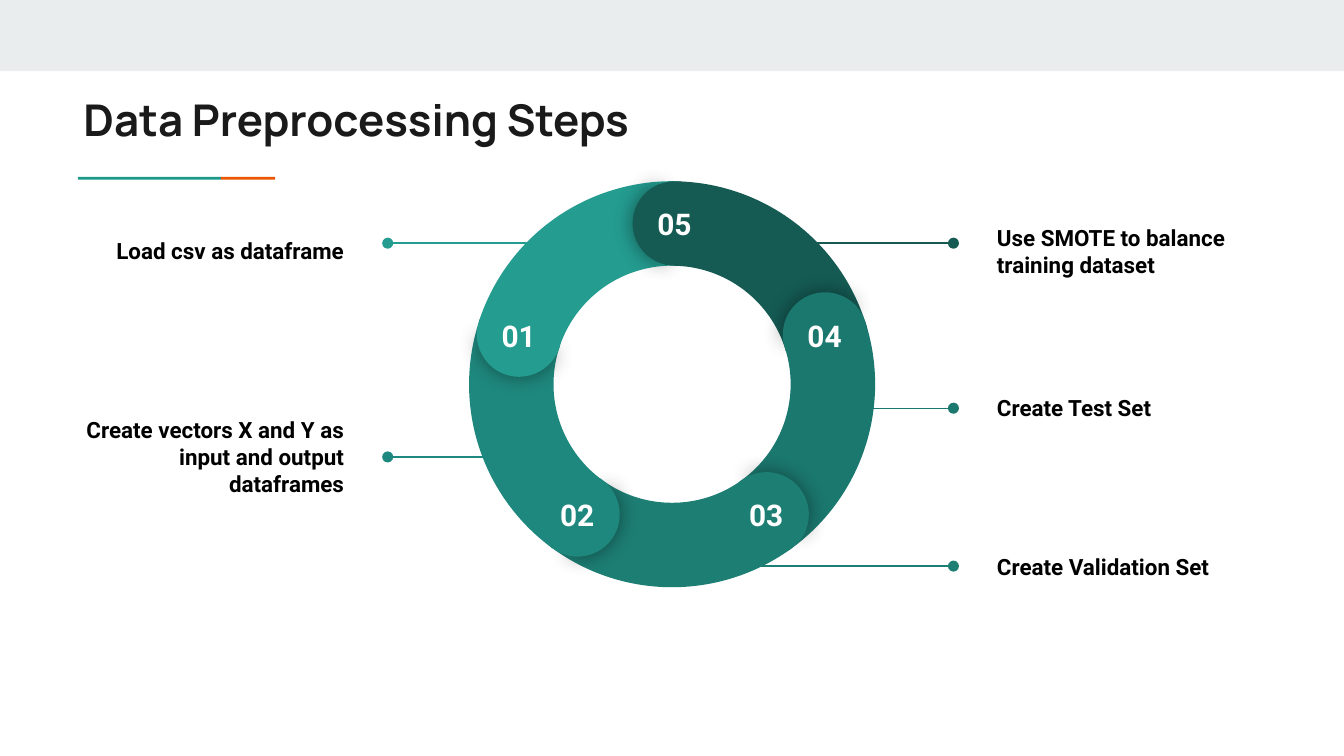
import math
import pptx
import pptx.util
import pptx.dml.color
import pptx.enum.shapes
import pptx.enum.text
import pptx.oxml
import pptx.oxml.ns
from lxml import etree

Pt = pptx.util.Pt
SHAPE = pptx.enum.shapes.MSO_SHAPE
ALIGN = pptx.enum.text.PP_ALIGN
ANCHOR = pptx.enum.text.MSO_ANCHOR
qn = pptx.oxml.ns.qn

COLORS = {
    "band": "E9EDEE", "teal": "1A9988", "orange": "EB5600",
    "title": "1A1A1A", "label": "000000", "number": "FFFFFF", "shadow": "000000",
    "01": "249C90", "02": "1F887E", "03": "1D7E74", "04": "1B786E", "05": "155B54",
}

# number, wording, cap angle on the ring, line start x, line y, label centre y
STEPS = [
    ("01", "Load csv as dataframe", 198, 304.5, 130.3, 134.3),
    ("02", "Create vectors X and Y as input and output dataframes", 126, 281.5, 244.8, 244.4),
    ("03", "Create Validation Set", 54, 366.5, 303.3, 303.5),
    ("04", "Create Test Set", 342, 442, 218.7, 218.5),
    ("05", "Use SMOTE to balance training dataset", 271, 410.5, 130.3, 134.3),
]


def rgb(name):
    return pptx.dml.color.RGBColor.from_string(COLORS[name])


def add_filled(slide, kind, box, color, rotation=0, angles=()):
    shape = slide.shapes.add_shape(kind, *map(Pt, box))
    shape.fill.solid()
    shape.fill.fore_color.rgb = rgb(color)
    shape.line.fill.background()
    shape.shadow.inherit = False
    shape.rotation = rotation % 360
    for index, degrees in enumerate(angles):
        shape.adjustments[index] = degrees * 0.6  # 60000ths of a degree / 100000
    return shape


def add_glow_shadow(shape):
    effects = shape._element.spPr.find(qn("a:effectLst"))
    shadow = etree.SubElement(effects, qn("a:outerShdw"), blurRad=str(Pt(11.2)),
                              dist="0", dir="0", algn="bl", rotWithShape="0")
    color = etree.SubElement(shadow, qn("a:srgbClr"), val=COLORS["shadow"])
    etree.SubElement(color, qn("a:alpha"), val="43000")


def write(frame, words, size, font, color, align, anchor):
    frame.word_wrap = True
    frame.auto_size = pptx.enum.text.MSO_AUTO_SIZE.NONE
    frame.vertical_anchor = anchor
    frame.margin_left = frame.margin_right = Pt(7.2)
    frame.margin_top = frame.margin_bottom = Pt(7.2)
    frame.text = words
    paragraph = frame.paragraphs[0]
    paragraph.alignment = align
    style = paragraph.runs[0].font
    style.size, style.name, style.bold = Pt(size), font, True
    style.color.rgb = rgb(color)
    return paragraph


def add_header(slide, left, top, width, height):
    # Band across the top
    add_filled(slide, SHAPE.RECTANGLE, (left, top, width, height), "band")

    # Title
    title = slide.shapes.title
    title.left, title.top = Pt(left + 37.5), Pt(top + 42.5)
    title.width, title.height = Pt(605.5), Pt(42.5)
    write(title.text_frame, "Data Preprocessing Steps", 23.4, "Manrope",
          "title", ALIGN.LEFT, ANCHOR.TOP)

    # Two-colour rule under the title
    rule_top = top + 94.8
    add_filled(slide, SHAPE.RECTANGLE, (left + 41.8, rule_top, 76.5, 1.5), "teal")
    add_filled(slide, SHAPE.RECTANGLE, (left + 118.3, rule_top, 29.2, 1.5), "orange")


def add_callouts(slide, left, width):
    label_width, label_height, dot_gap = 167, 72.7, 16.2
    for number, words, angle, start_x, line_y, label_y in STEPS:
        on_left = 90 < angle < 270
        if on_left:
            label_left = left
            dot_x = left + label_width + dot_gap
        else:
            label_left = left + width - label_width
            dot_x = label_left - dot_gap

        # Leader line ending in a dot
        leader = slide.shapes.add_connector(
            pptx.enum.shapes.MSO_CONNECTOR.STRAIGHT,
            Pt(start_x), Pt(line_y), Pt(dot_x), Pt(line_y))
        leader.line.color.rgb = rgb(number)
        leader.line.width = Pt(0.75)
        etree.SubElement(leader.line._get_or_add_ln(), qn("a:tailEnd"),
                         type="oval", w="med", len="med")
        etree.SubElement(leader._element.spPr, qn("a:effectLst"))

        # Step description
        label = slide.shapes.add_textbox(
            Pt(label_left), Pt(label_y - label_height / 2), Pt(label_width), Pt(label_height))
        paragraph = write(label.text_frame, words, 12, "Roboto", "label",
                          ALIGN.RIGHT if on_left else ALIGN.LEFT, ANCHOR.MIDDLE)
        if not on_left:
            paragraph.space_after = Pt(16)


def add_ring(slide, left, top, diameter):
    thickness = 0.208
    cap = diameter * thickness
    radius = (diameter - cap) / 2

    # Arcs, each starting at its own cap and reaching under the next one
    for number, _, angle, *_ in STEPS:
        arc = add_filled(slide, SHAPE.BLOCK_ARC, (left, top, diameter, diameter),
                         number, angle - 210, (210, 283))
        arc.adjustments[2] = thickness

    # Round caps: a shadowed leading half, then a plain half hiding its inner shadow
    for number, _, angle, *_ in reversed(STEPS):
        center_x = left + diameter / 2 + radius * math.cos(math.radians(angle))
        center_y = top + diameter / 2 + radius * math.sin(math.radians(angle))
        box = (center_x - cap / 2, center_y - cap / 2, cap, cap)
        leading = add_filled(slide, SHAPE.PIE, box, number, angle + 87, (103.2, 249.9))
        add_glow_shadow(leading)
        add_filled(slide, SHAPE.PIE, box, number, angle - 93.6, (67.1, 286.4))

        tag = slide.shapes.add_textbox(
            Pt(center_x - 20.5), Pt(center_y - 16.5), Pt(40.5), Pt(21))
        write(tag.text_frame, number, 16, "Roboto", "number", ALIGN.CENTER, ANCHOR.TOP)


def main():
    deck = pptx.Presentation()
    deck.slide_width, deck.slide_height = Pt(720), Pt(405)
    slide = deck.slides.add_slide(deck.slide_layouts[5])
    add_header(slide, 0, 0, 720, 38.2)
    add_callouts(slide, 24.5, 669.5)
    add_ring(slide, 251.3, 97.1, 217.5)
    deck.save("out.pptx")


if __name__ == "__main__":
    main()
